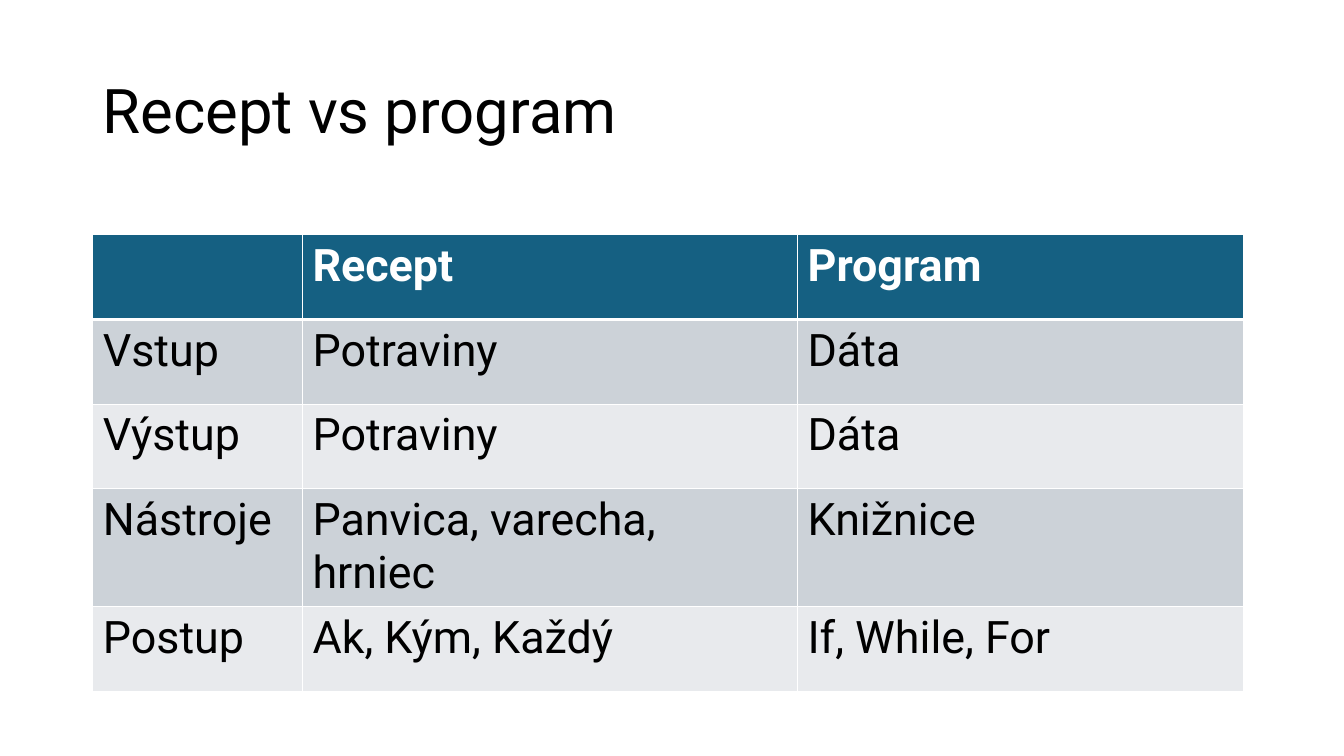
import lxml.etree
import pptx
import pptx.dml.color
import pptx.enum.text
import pptx.oxml.ns
import pptx.util

Inches = pptx.util.Inches
RGBColor = pptx.dml.color.RGBColor

BLACK = RGBColor(0x00, 0x00, 0x00)
WHITE = RGBColor(0xFF, 0xFF, 0xFF)
HEADER_BLUE = RGBColor(0x15, 0x60, 0x82)
BAND_COLORS = (RGBColor(0xE8, 0xEA, 0xED), RGBColor(0xCC, 0xD2, 0xD8))

TITLE_FORMAT = {"name": "Roboto", "size": pptx.util.Pt(44), "bold": False}
BODY_FORMAT = {"name": "Roboto", "size": pptx.util.Pt(32), "bold": False}
HEADER_FORMAT = {**BODY_FORMAT, "bold": True}

COLUMN_WIDTHS = (2.08, 4.91, 4.42)
COMPARISON = (
    ("", "Recept", "Program"),
    ("Vstup", "Potraviny", "Dáta"),
    ("Výstup", "Potraviny", "Dáta"),
    ("Nástroje", "Panvica, varecha, hrniec", "Knižnice"),
    ("Postup", "Ak, Kým, Každý", "If, While, For"),
)


def write_text(para, text, font_format, color):
    """Add one formatted span of text to a paragraph."""
    span = para.add_run()
    span.text = text
    for attribute, value in font_format.items():
        setattr(span.font, attribute, value)
    span.font.color.rgb = color


def set_borders(cell, widths):
    """Draw white cell borders with the given widths in points by side."""
    properties = cell._tc.get_or_add_tcPr()
    for side, width in widths.items():
        line = lxml.etree.SubElement(
            properties, pptx.oxml.ns.qn(f"a:ln{side}"), w=str(pptx.util.Pt(width))
        )
        fill = lxml.etree.SubElement(line, pptx.oxml.ns.qn("a:solidFill"))
        lxml.etree.SubElement(fill, pptx.oxml.ns.qn("a:srgbClr"), val=str(WHITE))


def add_title(page, left, top, width, height):
    """Place the slide title, vertically centred in its box."""
    box = page.shapes.add_textbox(
        Inches(left), Inches(top), Inches(width), Inches(height)
    )
    frame = box.text_frame
    frame.word_wrap = True
    frame.vertical_anchor = pptx.enum.text.MSO_ANCHOR.MIDDLE
    para = frame.paragraphs[0]
    para.line_spacing = 0.9
    write_text(para, "Recept vs program", TITLE_FORMAT, BLACK)


def add_comparison_table(page, left, top, width, height):
    """Place the banded table that compares a recipe with a program."""
    table = page.shapes.add_table(
        len(COMPARISON), len(COLUMN_WIDTHS),
        Inches(left), Inches(top), Inches(width), Inches(height),
    ).table
    for column, share in zip(table.columns, COLUMN_WIDTHS):
        column.width = Inches(width * share / sum(COLUMN_WIDTHS))
    for row_index, texts in enumerate(COMPARISON):
        is_header = row_index == 0
        font_format = HEADER_FORMAT if is_header else BODY_FORMAT
        color = WHITE if is_header else BLACK
        fill_color = HEADER_BLUE if is_header else BAND_COLORS[row_index % 2]
        borders = {
            "L": 1, "R": 1,
            "T": 3 if row_index == 1 else 1,
            "B": 3 if is_header else 1,
        }
        for column_index, text in enumerate(texts):
            cell = table.cell(row_index, column_index)
            set_borders(cell, borders)
            cell.fill.solid()
            cell.fill.fore_color.rgb = fill_color
            if text:
                write_text(cell.text_frame.paragraphs[0], text, font_format, color)


def main():
    """Build the deck and save it."""
    deck = pptx.Presentation()
    deck.slide_width = Inches(13.33)
    deck.slide_height = Inches(7.5)
    page = deck.slides.add_slide(deck.slide_layouts[6])
    add_title(page, 0.92, 0.4, 11.5, 1.45)
    add_comparison_table(page, 0.92, 2.33, 11.41, 4.2)
    deck.save("out.pptx")


if __name__ == "__main__":
    main()
